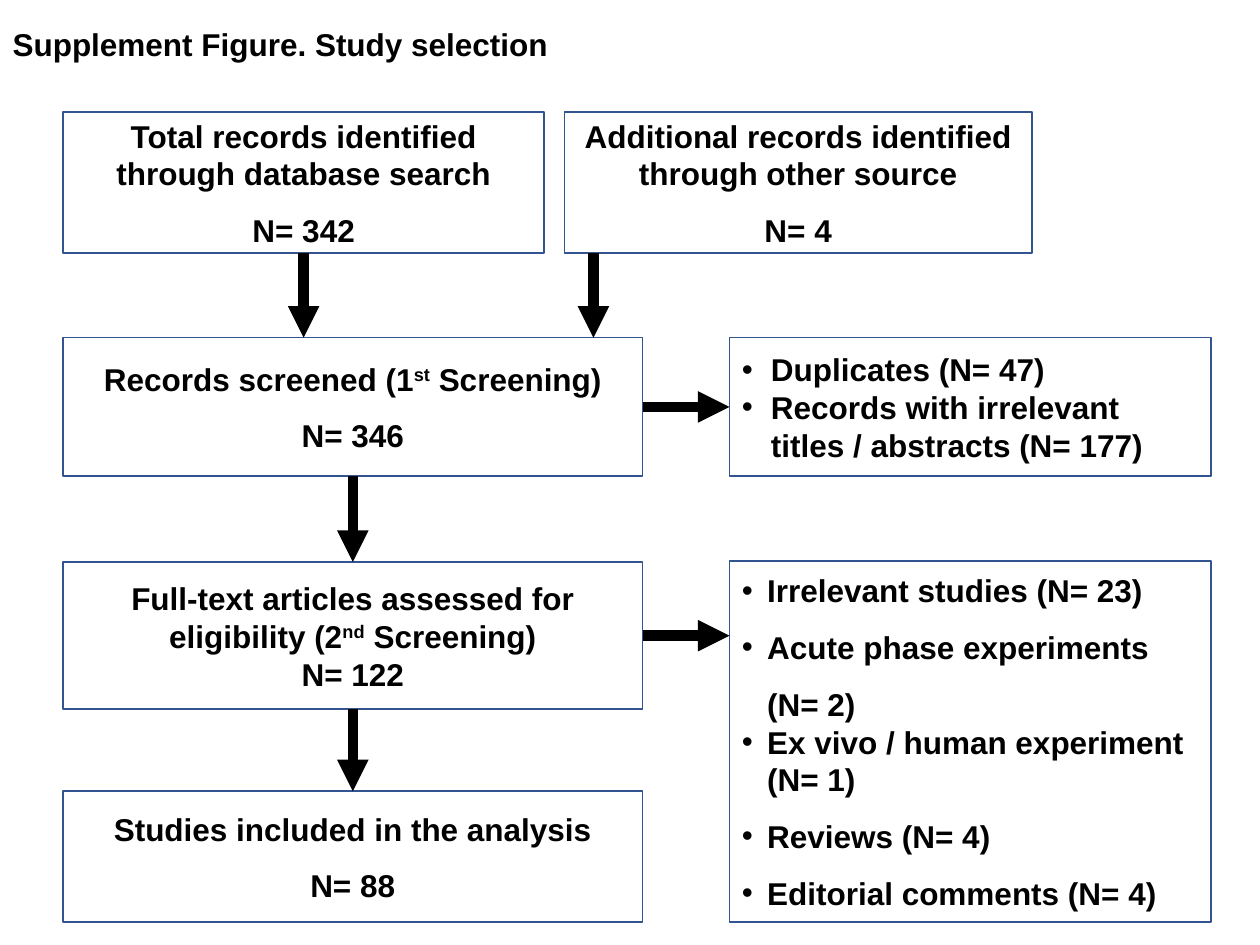
from dataclasses import dataclass
from lxml.etree import SubElement
from pptx import Presentation
from pptx.dml.color import RGBColor as Rgb
from pptx.enum.shapes import MSO_CONNECTOR as Link, MSO_SHAPE as Shape
from pptx.enum.text import MSO_ANCHOR as Anchor, PP_ALIGN as Align
from pptx.oxml.ns import qn
from pptx.util import Inches, Pt


@dataclass(frozen=True)
class Theme:
    font: str = "Arial"
    size: int = 18
    ink: Rgb = Rgb(0, 0, 0)
    edge: Rgb = Rgb(0x32, 0x54, 0x91)
    thin: int = 1
    thick: int = 6


THEME = Theme()
TITLE = "Supplement Figure. Study selection"

# Columns: left, width. Rows: top, height.
COLS = {"main": (0.5, 4.6), "first": (0.5, 3.82),
        "second": (4.48, 3.71), "side": (5.79, 3.82)}
ROWS = {"find": (0.89, 1.12), "screen": (2.68, 1.1), "assess": (4.46, 1.17),
        "include": (6.28, 1.04), "drop": (4.45, 2.87)}

# name: column, row, bullet indent, lines of (text, line spacing); ^ marks superscript
BOXES = {
    "search": ("first", "find", None, [
        ("Total records identified through database search", 1),
        ("N= 342", 1.5)]),
    "other": ("second", "find", None, [
        ("Additional records identified through other source", 1),
        ("N= 4", 1.5)]),
    "screen": ("main", "screen", None, [
        ("Records screened (1^st^ Screening)", 1),
        ("N= 346", 1.5)]),
    "first out": ("side", "screen", 0.23, [
        ("Duplicates (N= 47)", 1),
        ("Records with irrelevant titles / abstracts (N= 177)", 1)]),
    "assess": ("main", "assess", None, [
        ("Full-text articles assessed for eligibility (2^nd^ Screening)", 1),
        ("N= 122", 1)]),
    "next out": ("side", "drop", 0.2, [
        ("Irrelevant studies (N= 23)", 1),
        ("Acute phase experiments (N= 2)", 1.5),
        ("Ex vivo / human experiment (N= 1)", 1),
        ("Reviews (N= 4)", 1.5),
        ("Editorial comments (N= 4)", 1.5)]),
    "include": ("main", "include", None, [
        ("Studies included in the analysis", 1),
        ("N= 88", 1.5)]),
}

TOP, LEFT, BASE, RIGHT = range(4)
JOINS = [("screen", RIGHT, "first out", LEFT),
         ("screen", BASE, "assess", TOP),
         ("assess", BASE, "include", TOP)]
DROP_X = 4.71  # where the second source meets the screening box


def write(para, text):
    for i, part in enumerate(text.split("^")):
        run = para.add_run()
        run.text = part
        font = run.font
        font.name, font.size, font.bold = THEME.font, Pt(THEME.size), True
        font.color.rgb = THEME.ink
        if i % 2:
            run._r.get_or_add_rPr().set("baseline", "30000")


def bullet(para, indent):
    props = para._p.get_or_add_pPr()
    props.set("marL", str(Inches(indent)))
    props.set("indent", str(-Inches(indent)))
    SubElement(props, qn("a:buFont")).set("typeface", THEME.font)
    SubElement(props, qn("a:buChar")).set("char", "•")


def add_box(slide, col, row, indent, lines):
    (x, w), (y, h) = COLS[col], ROWS[row]
    box = slide.shapes.add_shape(Shape.RECTANGLE, *map(Inches, (x, y, w, h)))
    box.shadow.inherit = False
    box.fill.background()
    box.line.color.rgb, box.line.width = THEME.edge, Pt(THEME.thin)
    frame = box.text_frame
    frame.word_wrap, frame.vertical_anchor = True, Anchor.MIDDLE
    for i, (text, space) in enumerate(lines):
        para = frame.add_paragraph() if i else frame.paragraphs[0]
        if indent:
            bullet(para, indent)
        para.alignment = Align.LEFT if indent else Align.CENTER
        para.line_spacing = float(space)
        write(para, text)
    return box


def add_arrow(slide, x, y, x2, y2):
    arrow = slide.shapes.add_connector(Link.STRAIGHT, x, y, x2, y2)
    arrow.line.color.rgb, arrow.line.width = THEME.ink, Pt(THEME.thick)
    SubElement(arrow.line._get_or_add_ln(), qn("a:tailEnd")).set("type", "triangle")
    SubElement(arrow._element.spPr, qn("a:effectLst"))
    return arrow


def add_title(slide):
    title = slide.shapes.title
    title.left, title.top, title.width, title.height = map(
        Inches, (0, 0.15, 4.49, 0.4))
    frame = title.text_frame
    frame.word_wrap, frame.vertical_anchor = False, Anchor.TOP
    frame.paragraphs[0].alignment = Align.LEFT
    write(frame.paragraphs[0], TITLE)


def main():
    deck = Presentation()
    deck.slide_width, deck.slide_height = Inches(10), Inches(7.5)
    slide = deck.slides.add_slide(deck.slide_layouts[5])
    add_title(slide)
    boxes = {name: add_box(slide, *data) for name, data in BOXES.items()}

    for start, side, end, face in JOINS:
        arrow = add_arrow(slide, 0, 0, 0, 0)
        arrow.begin_connect(boxes[start], side)
        arrow.end_connect(boxes[end], face)

    search, other, screen, assess = (
        boxes[name] for name in ("search", "other", "screen", "assess"))
    mid = search.left + search.width // 2
    base = search.top + search.height
    add_arrow(slide, mid, base, mid, screen.top).begin_connect(search, BASE)
    drop = Inches(DROP_X)
    add_arrow(slide, drop, other.top + other.height, drop, screen.top)
    level = assess.top + assess.height // 2
    out = add_arrow(slide, assess.left + assess.width, level,
                    boxes["next out"].left, level)
    out.begin_connect(assess, RIGHT)
    deck.save("out.pptx")


if __name__ == "__main__":
    main()
